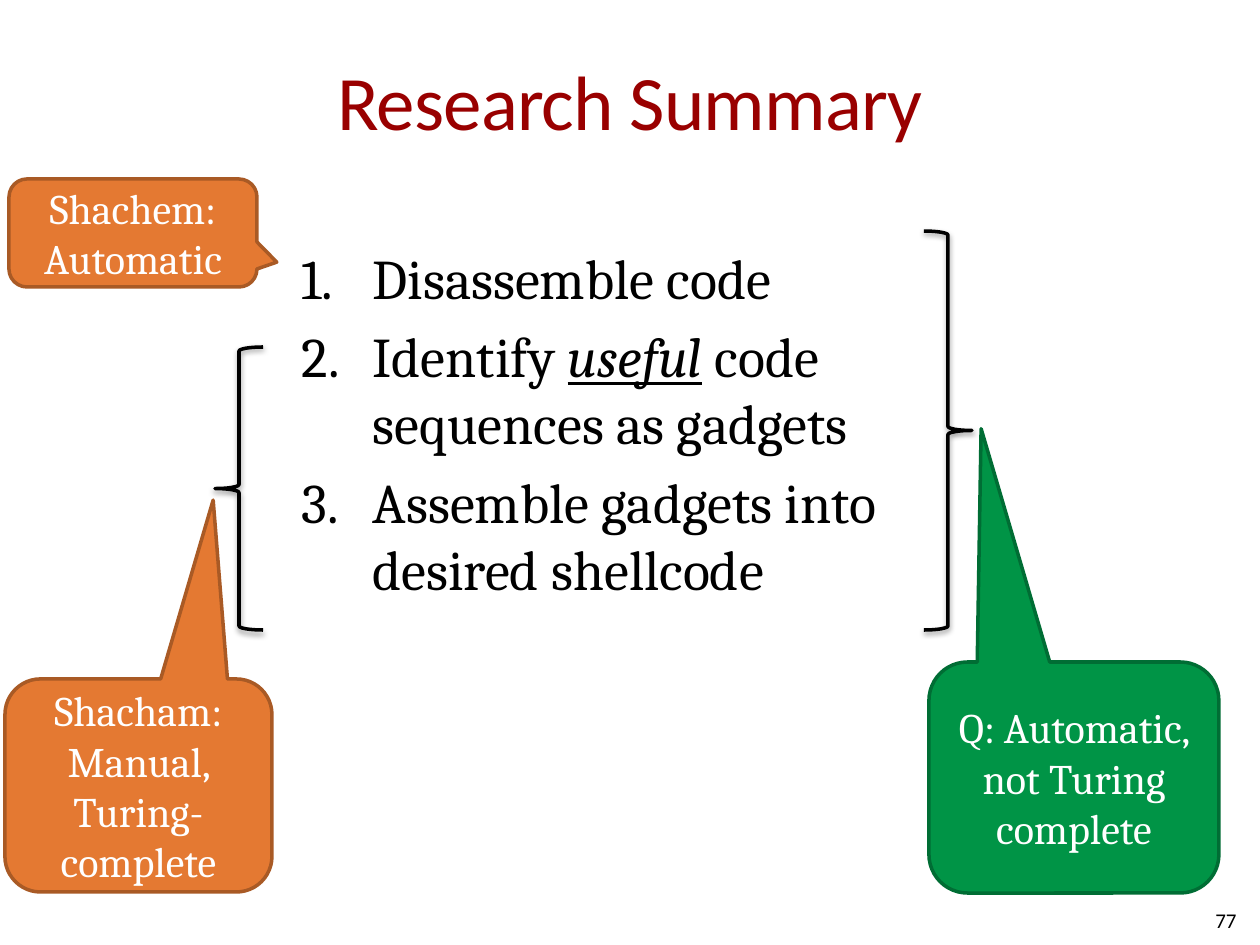
from lxml import etree
from pptx import Presentation
from pptx.dml.color import RGBColor
from pptx.enum.shapes import MSO_SHAPE
from pptx.enum.text import MSO_ANCHOR, MSO_AUTO_SIZE, PP_ALIGN
from pptx.oxml.ns import qn
from pptx.util import Emu, Pt

CALLOUT = MSO_SHAPE.ROUNDED_RECTANGULAR_CALLOUT
BRACE = MSO_SHAPE.RIGHT_BRACE
MIDDLE, TOP = MSO_ANCHOR.MIDDLE, MSO_ANCHOR.TOP
CENTER, LEFT, RIGHT = PP_ALIGN.CENTER, PP_ALIGN.LEFT, PP_ALIGN.RIGHT
NO_AUTOFIT = MSO_AUTO_SIZE.NONE

PX_PER_INCH = 126
EMU_PER_PX = 914400 / PX_PER_INCH
HEADING_FONT, TEXT_FONT = "Calibri", "Cambria"
COLORS = {
    "title": "990000",
    "text": "000000",
    "light": "FFFFFF",
    "orange": "E47932",
    "orange_edge": "A95A25",
    "green": "009446",
    "green_edge": "006D34",
}
STEPS = [
    [("Disassemble code", False)],
    [("Identify ", False), ("useful", True), (" code sequences as gadgets", False)],
    [("Assemble gadgets into desired shellcode", False)],
]


def px(length):
    return Emu(round(length * EMU_PER_PX))


def color(name):
    return RGBColor.from_string(COLORS[name])


def place(part, box):
    part.left, part.top, part.width, part.height = map(px, box)


def set_frame(frame, anchor):
    frame.word_wrap = True
    frame.auto_size = NO_AUTOFIT
    frame.vertical_anchor = anchor


def add_run(paragraph, text, size, font, tint):
    run = paragraph.add_run()
    run.text = text
    run.font.size = Pt(size)
    run.font.name = font
    run.font.color.rgb = color(tint)
    return run


def add_title(slide, text, box):
    title = slide.shapes.title
    place(title, box)
    frame = title.text_frame
    set_frame(frame, MIDDLE)
    frame.margin_left = frame.margin_right = 0
    paragraph = frame.paragraphs[0]
    paragraph.alignment = CENTER
    run = add_run(paragraph, text, 44, HEADING_FONT, "title")
    run.font._element.set("spc", "-50")


def number_paragraph(paragraph, indent):
    properties = paragraph._p.get_or_add_pPr()
    properties.set("marL", str(px(indent)))
    properties.set("indent", str(-px(indent)))
    etree.SubElement(properties, qn("a:buFont"), typeface="+mj-lt")
    etree.SubElement(properties, qn("a:buAutoNum"), type="arabicPeriod")


def add_steps(slide, steps, box):
    body = slide.placeholders[1]
    place(body, box)
    frame = body.text_frame
    set_frame(frame, TOP)
    for index, step in enumerate(steps):
        paragraph = frame.add_paragraph() if index else frame.paragraphs[0]
        number_paragraph(paragraph, 71)
        paragraph.alignment = LEFT
        paragraph.space_before = Pt(6.4 if index else 0)
        for text, emphasis in step:
            run = add_run(paragraph, text, 32, TEXT_FONT, "text")
            if emphasis:
                run.font.italic = True
                run.font.underline = True


def add_page_number(slide, text, box):
    page = slide.shapes.add_textbox(*map(px, box))
    set_frame(page.text_frame, MIDDLE)
    paragraph = page.text_frame.paragraphs[0]
    paragraph.alignment = RIGHT
    add_run(paragraph, text, 12, HEADING_FONT, "text")


def add_callout(slide, lines, box, tip, tint):
    callout = slide.shapes.add_shape(CALLOUT, *map(px, box))
    callout.shadow.inherit = False
    callout.adjustments[0], callout.adjustments[1] = tip
    callout.fill.solid()
    callout.fill.fore_color.rgb = color(tint)
    callout.line.color.rgb = color(f"{tint}_edge")
    callout.line.width = Pt(2)
    set_frame(callout.text_frame, MIDDLE)
    paragraph = callout.text_frame.paragraphs[0]
    paragraph.alignment = CENTER
    for index, line in enumerate(lines):
        if index:
            paragraph.add_line_break()
        add_run(paragraph, line, 24, TEXT_FONT, "light")


def add_brace(slide, box, rotation=0):
    brace = slide.shapes.add_shape(BRACE, *map(px, box))
    brace.rotation = rotation
    brace.fill.background()
    brace.line.color.rgb = color("text")
    brace.line.width = Pt(2)
    brace.shadow.inherit = False
    effects = brace._element.spPr.find(qn("a:effectLst"))
    shadow = etree.SubElement(effects, qn("a:outerShdw"), blurRad="40000",
                              dist="20000", dir="5400000", rotWithShape="0")
    tint = etree.SubElement(shadow, qn("a:srgbClr"), val=COLORS["text"])
    etree.SubElement(tint, qn("a:alpha"), val="38000")


def main():
    deck = Presentation()
    deck.slide_width, deck.slide_height = px(1260), px(945)
    slide = deck.slides.add_slide(deck.slide_layouts[1])
    add_title(slide, "Research Summary", (63, 21, 1134, 158))
    add_steps(slide, STEPS, (289, 237, 683, 655))
    add_page_number(slide, "77", (955, 895, 294, 50))
    add_callout(slide, ["Q: Automatic, not Turing complete"],
                (929, 662, 290, 231), (-0.32, -1.51), "green")
    add_brace(slide, (924, 231, 48, 399))
    add_callout(slide, ["Shachem:", "Automatic"],
                (9, 179, 248, 108), (0.58, 0.27), "orange")
    add_brace(slide, (215, 347, 48, 283), 180)
    add_callout(slide, ["Shacham:", "Manual, Turing-complete"],
                (5, 679, 267, 213), (0.28, -1.34), "orange")
    deck.save("out.pptx")


if __name__ == "__main__":
    main()
